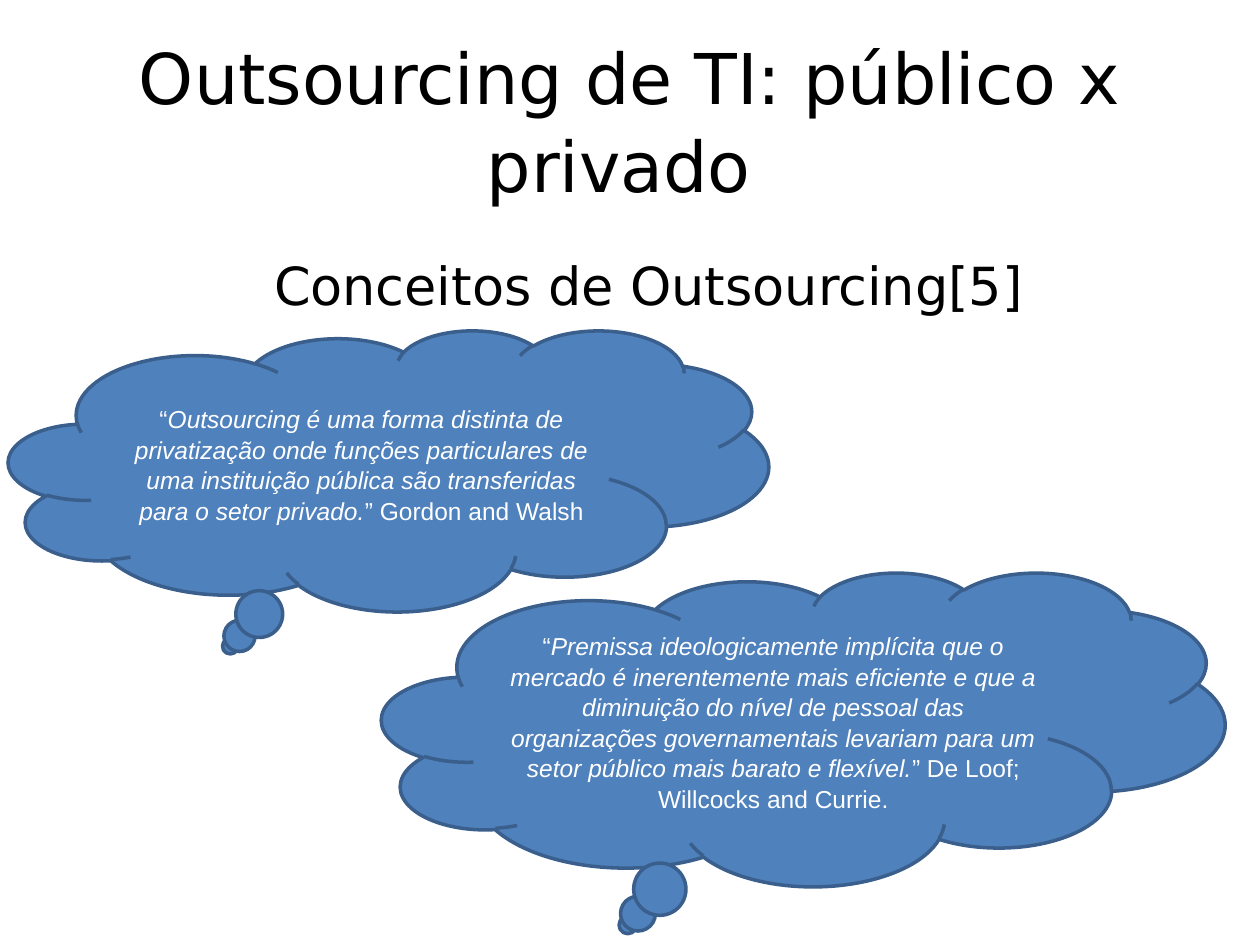
from pptx import Presentation
from pptx.dml.color import RGBColor
from pptx.enum import shapes, text
from pptx.util import Pt

LINE_SPACING = 1.04


def color(hex_value):
    return RGBColor.from_string(hex_value)


class SlideBuilder:
    heading_font = "DejaVu Sans"
    quote_font = "Arial"
    ink = "000000"
    cloud_fill = "4F81BD"
    cloud_line = "3A5F8C"
    cloud_ink = "FFFFFF"

    def __init__(self, slide):
        self.slide = slide

    def paragraph(self, frame, runs, font, size, ink):
        """Fill the first paragraph with (wording, italic) runs, centred."""
        frame.word_wrap = True
        para = frame.paragraphs[0]
        para.alignment = text.PP_ALIGN.CENTER
        para.line_spacing = LINE_SPACING
        for wording, italic in runs:
            run = para.add_run()
            run.text = wording
            run.font.name = font
            run.font.size = Pt(size)
            run.font.italic = italic
            run.font.color.rgb = color(ink)
        return para

    def heading(self, wording, box, size, inset_y, indent=0):
        frame = self.slide.shapes.add_textbox(*map(Pt, box)).text_frame
        frame.vertical_anchor = text.MSO_ANCHOR.TOP
        frame.margin_left = frame.margin_right = Pt(7.2)
        frame.margin_top = frame.margin_bottom = Pt(inset_y)
        para = self.paragraph(frame, [(wording, False)],
                              self.heading_font, size, self.ink)
        if indent:
            para._p.get_or_add_pPr().set("marL", str(Pt(indent)))

    def quote_cloud(self, quote, author, box):
        cloud = self.slide.shapes.add_shape(
            shapes.MSO_SHAPE.CLOUD_CALLOUT, *map(Pt, box))
        cloud.shadow.inherit = False
        cloud.fill.solid()
        cloud.fill.fore_color.rgb = color(self.cloud_fill)
        cloud.line.color.rgb = color(self.cloud_line)
        cloud.line.width = Pt(2)
        frame = cloud.text_frame
        frame.vertical_anchor = text.MSO_ANCHOR.MIDDLE
        runs = [("“", False), (quote, True), ("” " + author, False)]
        self.paragraph(frame, runs, self.quote_font, 14, self.cloud_ink)


def main():
    deck = Presentation()
    deck.slide_width, deck.slide_height = Pt(720), Pt(540)
    builder = SlideBuilder(deck.slides.add_slide(deck.slide_layouts[6]))

    builder.heading("Conceitos de Outsourcing[5]", (36, 139.7, 648, 330.5),
                    size=30, inset_y=3.6, indent=21.6)
    builder.heading("Outsourcing de TI: público x privado ",
                    (36, 10.8, 648, 90), size=40, inset_y=7.2)
    builder.quote_cloud(
        "Outsourcing é uma forma distinta de privatização onde funções "
        "particulares de uma instituição pública são transferidas para o "
        "setor privado.",
        "Gordon and Walsh", (5, 188.6, 434.2, 160.6))
    builder.quote_cloud(
        "Premissa ideologicamente implícita que o mercado é inerentemente "
        "mais eficiente e que a diminuição do nível de pessoal das "
        "organizações governamentais levariam para um setor público mais "
        "barato e flexível.",
        "De Loof; Willcocks and Currie.", (218.2, 326.9, 481.7, 179.3))

    deck.save("out.pptx")


if __name__ == "__main__":
    main()
